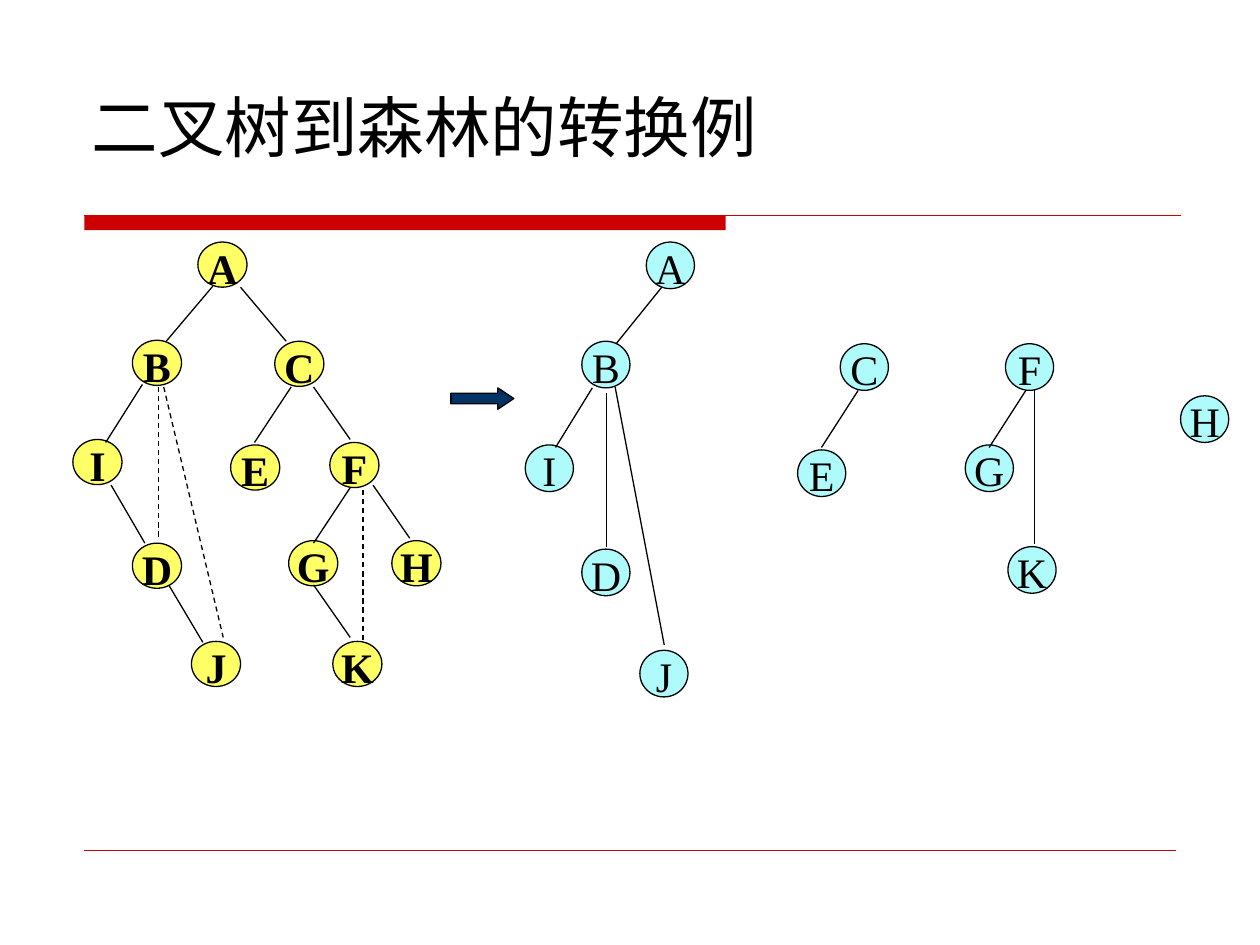
from typing import NamedTuple

from lxml import etree
from pptx import Presentation
from pptx import util as u
from pptx.dml.color import RGBColor
from pptx.enum import dml, shapes, text
from pptx.oxml.ns import qn

COLOURS = {
    "ink": "000000",
    "accent": "CC0000",
    "binary": "FFFF66",
    "forest": "AFFBFB",
    "arrow": "003366",
}


class Node(NamedTuple):
    name: str
    left: float
    top: float


class Edge(NamedTuple):
    x1: float
    y1: float
    x2: float
    y2: float
    dashed: bool = False


class Style(NamedTuple):
    fill: str
    bold: bool
    node_size: tuple[float, float]
    label_size: tuple[float, float]


BINARY_STYLE = Style("binary", True, (0.99, 0.91), (0.84, 1.07))
BINARY_NODES = [
    Node("A", 3.99, 4.88),
    Node("B", 2.67, 6.86),
    Node("C", 5.54, 6.88),
    Node("I", 1.47, 8.86),
    Node("E", 4.65, 8.97),
    Node("F", 6.65, 8.92),
    Node("D", 2.67, 10.95),
    Node("G", 5.82, 10.9),
    Node("H", 7.9, 10.9),
    Node("J", 3.86, 12.93),
    Node("K", 6.71, 12.93),
]
BINARY_EDGES = [
    Edge(4.29, 5.77, 3.35, 6.88),
    Edge(4.85, 5.79, 5.77, 6.88),
    Edge(2.87, 7.75, 2.13, 8.92),
    Edge(5.87, 7.8, 5.13, 8.92),
    Edge(6.32, 7.8, 7.06, 8.86),
    Edge(2.24, 9.78, 2.92, 10.95),
    Edge(7.06, 9.83, 6.32, 10.95),
    Edge(7.52, 9.78, 8.26, 10.85),
    Edge(3.4, 11.79, 4.09, 12.95),
    Edge(6.32, 11.79, 7.06, 12.85),
    Edge(3.2, 7.8, 3.2, 10.85, True),
    Edge(3.3, 7.8, 4.5, 12.85, True),
    Edge(7.32, 9.88, 7.32, 12.9, True),
]

FOREST_STYLE = Style("forest", False, (0.97, 0.94), (0.81, 1.09))
FOREST_NODES = [
    Node("A", 13.03, 4.88),
    Node("B", 11.73, 6.88),
    Node("I", 10.59, 8.97),
    Node("D", 11.73, 11.07),
    Node("J", 12.9, 13.11),
    Node("C", 16.94, 6.93),
    Node("E", 16.08, 9.07),
    Node("F", 20.27, 6.93),
    Node("G", 19.46, 8.97),
    Node("K", 20.32, 11.02),
    Node("H", 23.8, 7.98),
]
FOREST_EDGES = [
    Edge(13.34, 5.79, 12.42, 6.93),
    Edge(11.94, 7.82, 11.2, 9.02),
    Edge(12.22, 7.92, 12.22, 11.02),
    Edge(12.4, 7.8, 13.39, 13),
    Edge(17.3, 7.87, 16.56, 9.02),
    Edge(20.68, 7.87, 19.94, 9.02),
    Edge(20.85, 7.87, 20.85, 10.97),
]


def colour(name: str) -> RGBColor:
    return RGBColor.from_string(COLOURS[name])


def add_text(parent, content: str, left: float, top: float, width: float, height: float, *,
             font: str, size: float, bold: bool = False, align=text.PP_ALIGN.LEFT,
             anchor=text.MSO_ANCHOR.TOP, insets=(0.25, 0.13, 0.25, 0.13)) -> None:
    box = parent.add_textbox(u.Cm(left), u.Cm(top), u.Cm(width), u.Cm(height))
    frame = box.text_frame
    frame.word_wrap = True
    frame.vertical_anchor = anchor
    frame.margin_left, frame.margin_top, frame.margin_right, frame.margin_bottom = map(u.Cm, insets)
    para = frame.paragraphs[0]
    para.alignment = align
    span = para.add_run()
    span.text = content
    span.font.name = font
    span.font.size = u.Pt(size)
    span.font.bold = bold
    span.font.color.rgb = colour("ink")
    etree.SubElement(span.font._element, qn("a:ea"), typeface=font)


def add_shape(parent, kind, left: float, top: float, width: float, height: float,
              fill: str, outlined: bool = True):
    shape = parent.add_shape(kind, u.Cm(left), u.Cm(top), u.Cm(width), u.Cm(height))
    shape.shadow.inherit = False
    shape.fill.solid()
    shape.fill.fore_color.rgb = colour(fill)
    if outlined:
        shape.line.color.rgb = colour("ink")
        shape.line.width = u.Pt(0.75)
    else:
        shape.line.fill.background()
    return shape


def add_edge(parent, edge: Edge, line: str = "ink", weight: float = 0.75) -> None:
    connector = parent.add_connector(
        shapes.MSO_CONNECTOR.STRAIGHT,
        u.Cm(edge.x1), u.Cm(edge.y1), u.Cm(edge.x2), u.Cm(edge.y2))
    connector.line.color.rgb = colour(line)
    connector.line.width = u.Pt(weight)
    if edge.dashed:
        connector.line.dash_style = dml.MSO_LINE.DASH
    etree.SubElement(connector._element.spPr, qn("a:effectLst"))


def add_diagram(page, nodes: list[Node], edges: list[Edge], style: Style) -> None:
    group = page.shapes.add_group_shape().shapes
    node_width, node_height = style.node_size
    label_width, label_height = style.label_size
    for node in nodes:
        add_shape(group, shapes.MSO_SHAPE.OVAL, node.left, node.top,
                  node_width, node_height, style.fill)
    for edge in edges:
        add_edge(group, edge)
    for node in nodes:
        add_text(group, node.name, node.left + (node_width - label_width) / 2, node.top,
                 label_width, label_height, font="Times New Roman", size=24,
                 bold=style.bold, align=text.PP_ALIGN.CENTER, insets=(0, 0, 0, 0.1))


def main() -> None:
    deck = Presentation()
    deck.slide_width, deck.slide_height = u.Cm(25.4), u.Cm(19.05)
    page = deck.slides.add_slide(deck.slide_layouts[6])

    add_shape(page.shapes, shapes.MSO_SHAPE.RECTANGLE, 1.7, 4.34, 12.93, 0.3, "accent", False)
    add_edge(page.shapes, Edge(1.7, 4.34, 23.8, 4.34), "accent")
    add_edge(page.shapes, Edge(1.7, 17.15, 23.7, 17.15), "accent", 0.25)
    add_text(page.shapes, "二叉树到森林的转换例", 1.6, 0.84, 22.23, 3.38,
             font="DejaVu Sans", size=38, anchor=text.MSO_ANCHOR.MIDDLE)

    add_diagram(page, BINARY_NODES, BINARY_EDGES, BINARY_STYLE)
    add_diagram(page, FOREST_NODES, FOREST_EDGES, FOREST_STYLE)
    arrow = add_shape(page.shapes, shapes.MSO_SHAPE.RIGHT_ARROW, 9.09, 7.82, 1.27, 0.43, "arrow")
    arrow.adjustments[0] = 0.5
    arrow.adjustments[1] = 0.75

    deck.save("out.pptx")


if __name__ == "__main__":
    main()
